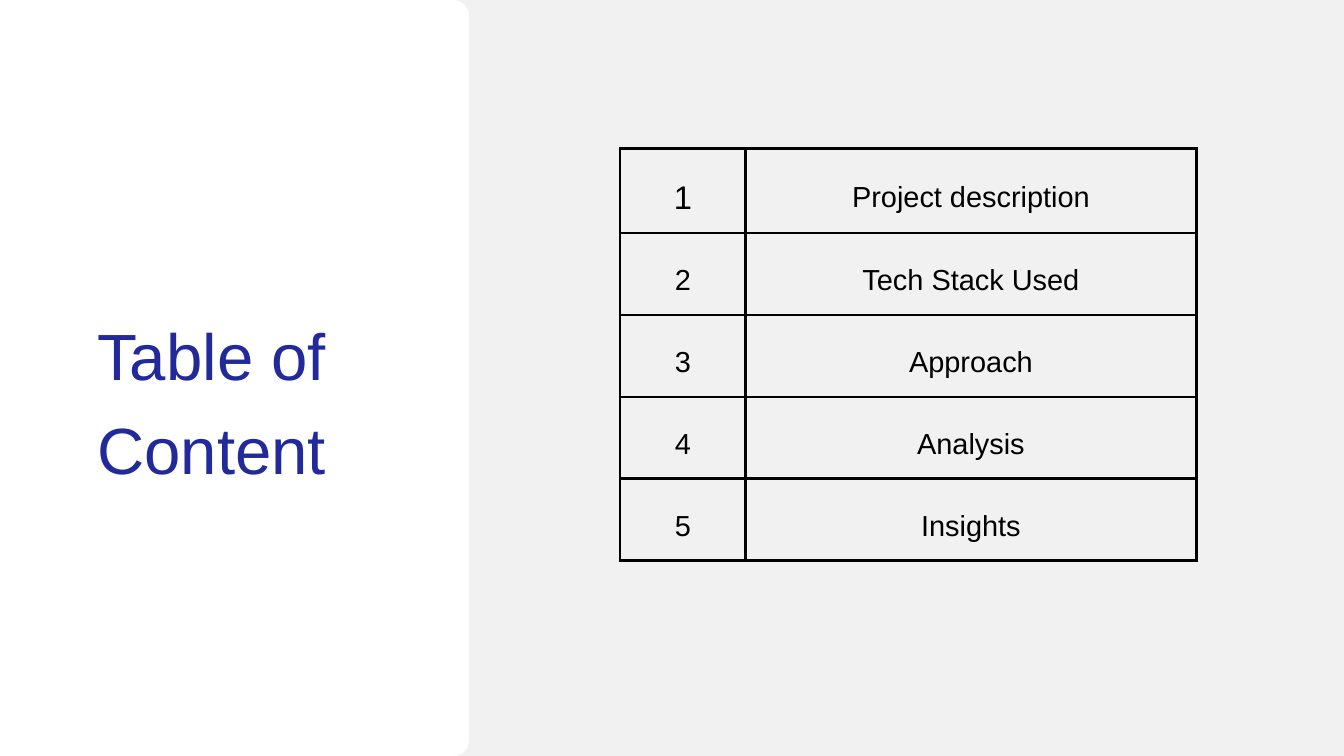
from lxml import etree
from pptx import Presentation
from pptx.dml.color import RGBColor
from pptx.enum.shapes import MSO_SHAPE
from pptx.enum.text import MSO_ANCHOR, PP_ALIGN
from pptx.oxml.ns import qn
from pptx.util import Pt

ROUND = MSO_SHAPE.ROUNDED_RECTANGLE
MIDDLE = MSO_ANCHOR.MIDDLE
CENTER = PP_ALIGN.CENTER
LEFT = PP_ALIGN.LEFT

SCALE = 9525
FONT = "Arial"
GREY, WHITE, BLACK, BLUE = "F1F1F1", "FFFFFF", "000000", "222A9B"
TOPICS = ["Project description", "Tech Stack Used", "Approach", "Analysis", "Insights"]


def px(*sizes):
    return [size * SCALE for size in sizes]


def paint(fill, color):
    fill.solid()
    fill.fore_color.rgb = RGBColor.from_string(color)


def format(target, values):
    for name, value in values.items():
        setattr(target, name, value)


def margins(size):
    sides = ("left", "right", "top", "bottom")
    return {f"margin_{side}": size * SCALE for side in sides}


def write(frame, text, size, color, align, spacing):
    para = frame.paragraphs[0]
    format(para, {"alignment": align, "line_spacing": spacing})
    run = para.add_run()
    run.text = text
    format(run.font, {"name": FONT, "size": Pt(size)})
    paint(run.font.fill, color)


def border(cell, color, width):
    props = cell._tc.get_or_add_tcPr()
    for index, side in enumerate(("lnL", "lnR", "lnT", "lnB")):
        line = etree.Element(qn(f"a:{side}"), w=str(Pt(width)))
        fill = etree.SubElement(line, qn("a:solidFill"))
        etree.SubElement(fill, qn("a:srgbClr"), val=color)
        props.insert(index, line)


def panel(slide, left, top, width, height):
    card = slide.shapes.add_shape(ROUND, *px(left, top, width, height))
    card.adjustments[0] = 0.03
    card.shadow.inherit = False
    paint(card.fill, WHITE)
    card.line.fill.background()

    title = slide.shapes.add_textbox(*px(left + 208, top + 428, width - 286, 223))
    frame = title.text_frame
    format(frame, {"word_wrap": True, **margins(0)})
    write(frame, "Table of Content", 70, BLUE, LEFT, 1.2)


def agenda(slide, left, top, width, height):
    count = len(TOPICS)
    grid = slide.shapes.add_table(count, 2, *px(left, top, width, height)).table
    format(grid, {"first_row": False, "horz_banding": False})
    slim = 179
    for column, size in zip(grid.columns, (slim, width - slim)):
        column.width = size * SCALE
    step = height // count
    for index, topic in enumerate(TOPICS):
        first = index == 0
        grid.rows[index].height = (height - step * (count - 1) if first else step) * SCALE
        entries = ((str(index + 1), 35 if first else 31), (topic, 31))
        for cell, (text, size) in zip(grid.rows[index].cells, entries):
            format(cell, {"vertical_anchor": MIDDLE, **margins(20)})
            cell.fill.background()
            border(cell, BLACK, 3)
            write(cell.text_frame, text, size, BLACK, CENTER, 1.4)


def main():
    deck = Presentation()
    wide, high = 1920, 1080
    format(deck, {"slide_width": wide * SCALE, "slide_height": high * SCALE})
    slide = deck.slides.add_slide(deck.slide_layouts[6])
    paint(slide.background.fill, GREY)
    panel(slide, -69, 0, 739, high)
    agenda(slide, 886, 212, 823, 589)
    deck.save("out.pptx")


if __name__ == "__main__":
    main()
